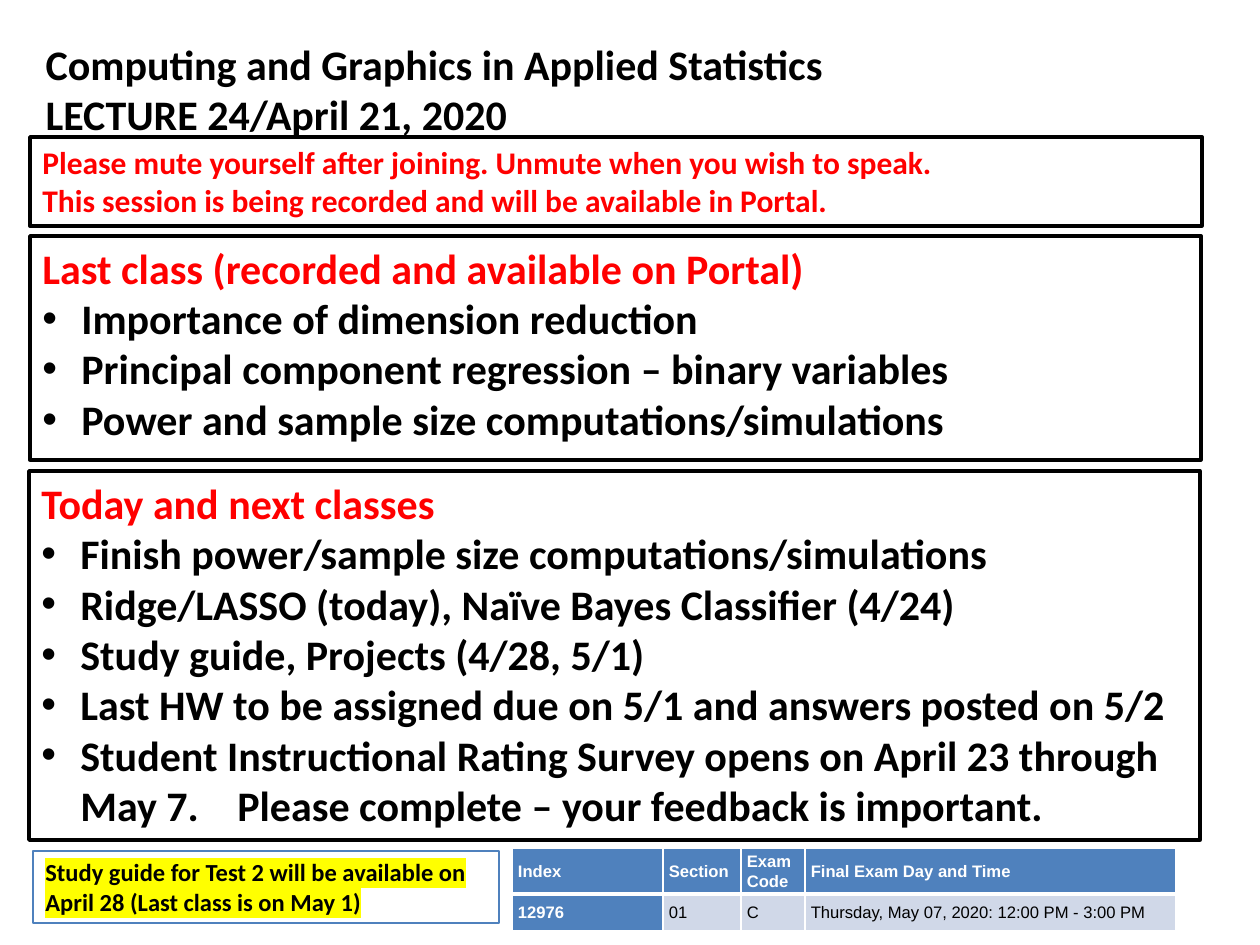
import dataclasses

import pptx
import pptx.dml.color
import pptx.enum.shapes
import pptx.enum.text
import pptx.oxml
import pptx.oxml.ns
import pptx.util

NS = pptx.oxml.ns.nsdecls("a")
TOP = pptx.enum.text.MSO_ANCHOR.TOP
MID = pptx.enum.text.MSO_ANCHOR.MIDDLE


@dataclasses.dataclass(frozen=True)
class Theme:
    black: str = "000000"
    white: str = "FFFFFF"
    red: str = "FF0000"
    blue: str = "4F81BD"
    pale: str = "D0D8E8"
    mark: str = "FFFF00"
    font: str = "Calibri"
    grid_font: str = "Arial"
    big: float = 24
    mid: float = 18
    small: float = 14
    tiny: float = 9.5


def px(n):
    return pptx.util.Emu(round(n * 914400 / 126))


def rgb(code):
    return pptx.dml.color.RGBColor.from_string(code)


def node(xml):
    """Parse one a: element, whose tag ends at the first blank."""
    tag, rest = xml.split(" ", 1)
    return pptx.oxml.parse_xml(f"{tag} {NS} {rest}")


class Deck:
    def __init__(self, theme):
        self.theme = theme
        self.prs = pptx.Presentation()
        self.prs.slide_width, self.prs.slide_height = px(1260), px(945)
        self.slide = self.prs.slides.add_slide(self.prs.slide_layouts[5])

    def run(self, par, text, size, color, font=None, bold=True, mark=None):
        run = par.add_run()
        run.text = text
        run.font.size = pptx.util.Pt(size)
        run.font.bold = bold
        run.font.color.rgb = rgb(color)
        run.font.name = font or self.theme.font
        if mark:
            fill = run.font._element.find(pptx.oxml.ns.qn("a:solidFill"))
            fill.addnext(node(f'<a:highlight ><a:srgbClr val="{mark}"/></a:highlight>'))

    def bullet(self, par, tab=None):
        props = par._p.get_or_add_pPr()
        props.set("marL", str(px(39)))
        props.set("indent", str(-px(39)))
        props.append(node('<a:buFont typeface="Arial"/>'))
        props.append(node('<a:buChar char="•"/>'))
        if tab:
            props.append(node(f'<a:tabLst ><a:tab pos="{px(tab)}" algn="l"/></a:tabLst>'))

    def lines(self, frame, texts, size, color, mark=None):
        """Fill a frame with left-aligned paragraphs and yield each one."""
        frame.word_wrap = True
        frame.auto_size = pptx.enum.text.MSO_AUTO_SIZE.NONE
        frame.vertical_anchor = TOP
        for i, text in enumerate(texts):
            par = frame.add_paragraph() if i else frame.paragraphs[0]
            par.alignment = pptx.enum.text.PP_ALIGN.LEFT
            self.run(par, text, size, color, mark=mark)

    def title(self, rect, texts):
        shape = self.slide.shapes.title
        shape.left, shape.top, shape.width, shape.height = map(px, rect)
        self.lines(shape.text_frame, texts, self.theme.big, self.theme.black)

    def box(self, rect, line, width, fill=None):
        kind = pptx.enum.shapes.MSO_SHAPE.RECTANGLE
        shape = self.slide.shapes.add_shape(kind, *map(px, rect))
        shape.shadow.inherit = False
        if fill:
            shape.fill.solid()
            shape.fill.fore_color.rgb = rgb(fill)
        else:
            shape.fill.background()
        shape.line.color.rgb = rgb(line)
        shape.line.width = pptx.util.Pt(width)
        return shape.text_frame

    def panel(self, rect, texts, size):
        frame = self.box(rect, self.theme.black, 2, self.theme.white)
        self.lines(frame, texts, size, self.theme.red)
        return frame

    def agenda(self, rect, head, items, tab=None):
        """A framed red heading with black bullets under it."""
        frame = self.panel(rect, [head], self.theme.big)
        for item in items:
            par = frame.add_paragraph()
            par.alignment = pptx.enum.text.PP_ALIGN.LEFT
            self.bullet(par, tab if "\t" in item else None)
            self.run(par, item, self.theme.big, self.theme.black)

    def note(self, rect, text):
        frame = self.box(rect, self.theme.blue, 0.75)
        self.lines(frame, [text], self.theme.small, self.theme.black, self.theme.mark)

    def edges(self, cell, top, bottom):
        sides = {"L": 1, "R": 1, "T": top, "B": bottom}
        for i, (side, width) in enumerate(sides.items()):
            line = node(
                f'<a:ln{side} w="{pptx.util.Pt(width)}"><a:solidFill>'
                f'<a:srgbClr val="{self.theme.white}"/></a:solidFill></a:ln{side}>')
            cell._tc.get_or_add_tcPr().insert(i, line)

    def cell(self, cell, text, head):
        theme = self.theme
        cell.fill.solid()
        cell.fill.fore_color.rgb = rgb(theme.blue if head else theme.pale)
        cell.vertical_anchor = MID
        cell.margin_left = cell.margin_right = px(6)
        cell.margin_top = cell.margin_bottom = px(3)
        par = cell.text_frame.paragraphs[0]
        par.line_spacing = 1.07
        color = theme.white if head else theme.black
        self.run(par, text, theme.tiny, color, theme.grid_font, head)

    def table(self, left, top, cols, rows, data):
        rect = (left, top, sum(cols), sum(rows))
        grid = self.slide.shapes.add_table(len(rows), len(cols), *map(px, rect)).table
        for col, width in zip(grid.columns, cols):
            col.width = px(width)
        for row, height in zip(grid.rows, rows):
            row.height = px(height)
        for r, texts in enumerate(data):
            for c, text in enumerate(texts):
                cell = grid.cell(r, c)
                self.cell(cell, text, r == 0 or c == 0)
                self.edges(cell, 3 if r else 1, 1 if r else 3)


def main():
    theme = Theme()
    deck = Deck(theme)
    deck.title((33, 32, 1043, 165), [
        "Computing and Graphics in Applied Statistics",
        "LECTURE 24/April 21, 2020",
    ])
    deck.agenda((30, 236, 1171, 224), "Last class (recorded and available on Portal)", [
        "Importance of dimension reduction",
        "Principal component regression – binary variables",
        "Power and sample size computations/simulations",
    ])
    deck.agenda((29, 471, 1171, 369), "Today and next classes", [
        "Finish power/sample size computations/simulations",
        "Ridge/LASSO (today), Naïve Bayes Classifier (4/24)",
        "Study guide, Projects (4/28, 5/1)",
        "Last HW to be assigned due on 5/1 and answers posted on 5/2",
        "Student Instructional Rating Survey opens on April 23 through "
        "May 7.\tPlease complete – your feedback is important.",
    ], tab=196)
    deck.panel((30, 137, 1172, 89), [
        "Please mute yourself after joining. Unmute when you wish to speak.",
        "This session is being recorded and will be available in Portal.",
    ], theme.mid)
    deck.table(512, 848, [151, 78, 64, 371], [46, 37], [
        ["Index", "Section", "Exam Code", "Final Exam Day and Time"],
        ["12976", "01", "C", "Thursday, May 07, 2020: 12:00 PM - 3:00 PM"],
    ])
    deck.note((33, 851, 466, 72),
              "Study guide for Test 2 will be available on April 28 (Last class is on May 1)")
    deck.prs.save("out.pptx")


if __name__ == "__main__":
    main()
